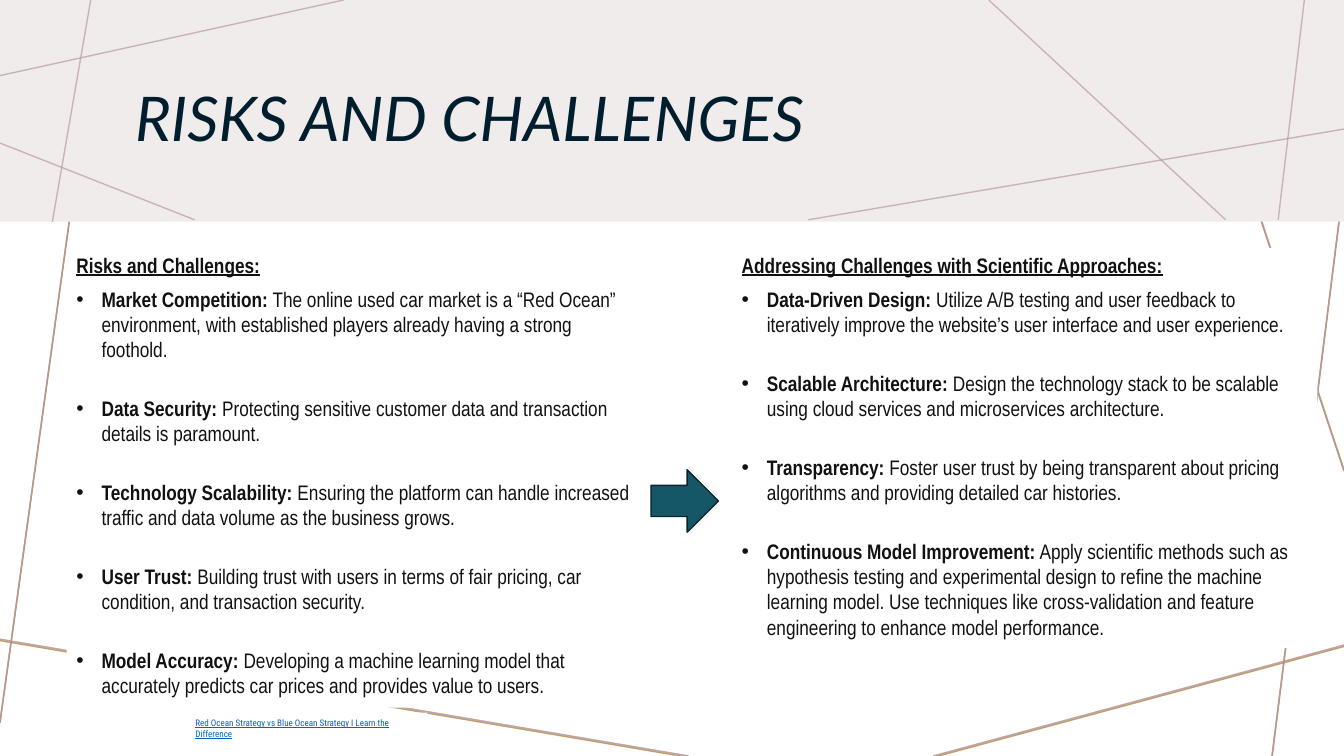
from lxml.etree import SubElement
from pptx import Presentation
from pptx.dml.color import RGBColor
from pptx.enum.shapes import MSO_CONNECTOR, MSO_SHAPE
from pptx.enum.text import MSO_ANCHOR, MSO_AUTO_SIZE, PP_ALIGN
from pptx.oxml.ns import qn
from pptx.util import Pt

TITLE = "RISKS AND CHALLENGES"
RISKS = ("Risks and Challenges:", [
    ("Market Competition:", "The online used car market is a “Red Ocean” environment, with established players already having a strong foothold."),
    ("Data Security:", "Protecting sensitive customer data and transaction details is paramount."),
    ("Technology Scalability:", "Ensuring the platform can handle increased traffic and data volume as the business grows."),
    ("User Trust:", "Building trust with users in terms of fair pricing, car condition, and transaction security."),
    ("Model Accuracy:", "Developing a machine learning model that accurately predicts car prices and provides value to users."),
])
ANSWERS = ("Addressing Challenges with Scientific Approaches:", [
    ("Data-Driven Design:", "Utilize A/B testing and user feedback to iteratively improve the website’s user interface and user experience."),
    ("Scalable Architecture:", "Design the technology stack to be scalable using cloud services and microservices architecture."),
    ("Transparency:", "Foster user trust by being transparent about pricing algorithms and providing detailed car histories."),
    ("Continuous Model Improvement:", "Apply scientific methods such as hypothesis testing and experimental design to refine the machine learning model. Use techniques like cross-validation and feature engineering to enhance model performance."),
])
SOURCE = "Red Ocean Strategy vs Blue Ocean Strategy I Learn the Difference"

ROSE, GOLD = "BA9CA0", "A57931"
WEB = [
    (245.5, 0, 0, 54), (71.3, 0, 0, 515.5), (491.8, 540, -3.6, 456),
    (960, 460.8, 666.7, 540), (960, 129.6, 908.6, 540),
    (960, 335.5, 848.9, 0), (960, 72.9, 514, 0),
]
BAND = [
    (245.5, 0, 0, 54), (64.8, 0, 37.4, 158.4), (139, 157, 0, 102.2),
    (960, 92.2, 577.4, 157), (875.5, 157, 706.3, 0), (931.7, 0, 913, 157),
]
BODY = {"name": "Arial Narrow", "size": Pt(15), "color": "111111"}
HEAD = {**BODY, "bold": True, "underline": True}
LABEL = {**BODY, "bold": True}
LINK = {"name": "Roboto Condensed", "size": Pt(6.5), "color": "0563C1", "underline": True}
BIG = {"name": "Lato", "size": Pt(44), "color": "001E2E", "italic": True, "bold": False}


def tint(color, code):
    color.rgb = RGBColor.from_string(code)


def style(item, form):
    for key, value in form.items():
        if key == "color":
            tint(item.color, value)
        else:
            setattr(item, key, value)


def write(para, text, form):
    run = para.add_run()
    run.text = text
    style(run.font, form)


def strand(ends, code, drop=0):
    x1, y1, x2, y2 = ends
    line = slide.shapes.add_connector(
        MSO_CONNECTOR.STRAIGHT, Pt(x1), Pt(y1 + drop), Pt(x2), Pt(y2 + drop))
    line.line.width = Pt(1)
    tint(line.line.color, code)
    fill = line.line.color._xFill
    SubElement(fill[0], qn("a:alpha"), val="70000")
    SubElement(line._element.spPr, qn("a:effectLst"))


def block(kind, area, code, edge=None):
    shape = slide.shapes.add_shape(kind, *map(Pt, area))
    shape.shadow.inherit = False
    shape.fill.solid()
    tint(shape.fill.fore_color, code)
    if edge:
        shape.line.width = Pt(1)
        tint(shape.line.color, edge)
    else:
        shape.line.fill.background()
    return shape


def panel(area):
    frame = block(MSO_SHAPE.RECTANGLE, area, "FFFFFF").text_frame
    style(frame, {"word_wrap": True, "vertical_anchor": MSO_ANCHOR.TOP})
    frame.paragraphs[0].alignment = PP_ALIGN.LEFT
    return frame


def column(area, group):
    head, points = group
    frame = panel(area)
    para = frame.paragraphs[0]
    para.space_after = Pt(6)
    write(para, head, HEAD)
    for label, text in points:
        para = frame.add_paragraph()
        last = label == points[-1][0]
        style(para, {"alignment": PP_ALIGN.LEFT, "space_after": Pt(6 if last else 24)})
        props = para._p.get_or_add_pPr()
        props.set("marL", str(Pt(18)))
        props.set("indent", str(-Pt(18)))
        SubElement(props, qn("a:buFont"), typeface="Arial")
        SubElement(props, qn("a:buChar"), char="•")
        write(para, label, LABEL)
        write(para, f" {text}", BODY)


deck = Presentation()
style(deck, {"slide_width": Pt(960), "slide_height": Pt(540)})
slide = deck.slides.add_slide(deck.slide_layouts[5])

for code, drop in ((ROSE, 0), (GOLD, 1), (ROSE, 0)):
    for ends in WEB:
        strand(ends, code, drop)
block(MSO_SHAPE.RECTANGLE, (0, 0, 960, 158.4), "F0ECEC")
for ends in BAND:
    strand(ends, ROSE)

title = slide.shapes.title
style(title, {"left": Pt(89.3), "top": Pt(38.9), "width": Pt(792.7), "height": Pt(96.5)})
style(title.text_frame, {"auto_size": MSO_AUTO_SIZE.NONE, "word_wrap": True,
                         "vertical_anchor": MSO_ANCHOR.MIDDLE})
para = title.text_frame.paragraphs[0]
style(para, {"alignment": PP_ALIGN.LEFT, "line_spacing": 0.9})
write(para, TITLE, BIG)
slide.shapes._spTree.append(title._element)

column((47.5, 177.1, 411.1, 328.3), RISKS)
write(panel((132.5, 509, 172.8, 15.1)).paragraphs[0], SOURCE, LINK)
column((522.7, 177.1, 418.3, 285.8), ANSWERS)
block(MSO_SHAPE.RIGHT_ARROW, (465, 335.5, 48.2, 44.6), "155767", "09262D")

deck.save("out.pptx")
